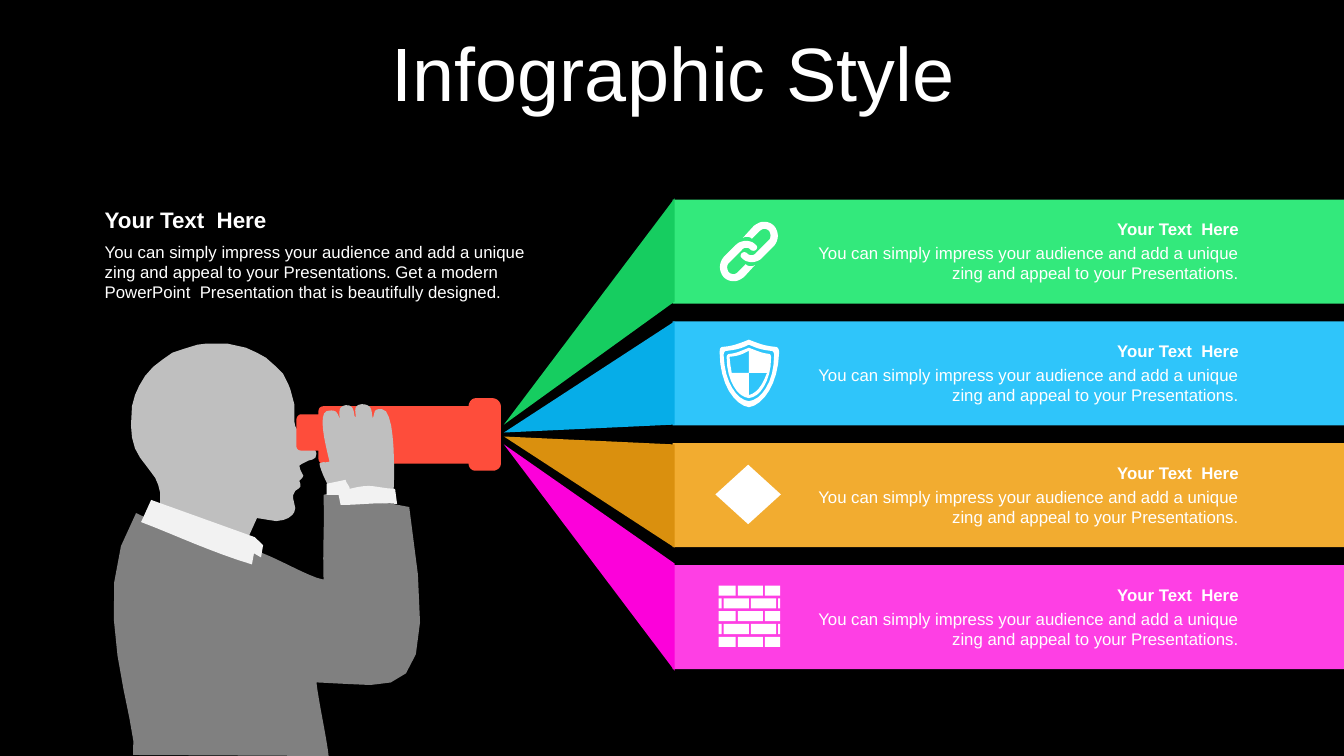
from pptx import Presentation
from pptx.dml.color import RGBColor
from pptx.enum.shapes import MSO_SHAPE
from pptx.enum.text import MSO_ANCHOR, PP_ALIGN
from pptx.util import Cm, Pt

COLORS = {
    "background": "000000", "text": "FFFFFF", "icon": "FFFFFF",
    "skin": "BFBFBF", "telescope": "FE4D3B", "suit": "808080", "shirt": "F2F2F2",
}
FONT = "Arial"
CURVE_STEPS = 8

presentation = Presentation()
presentation.slide_width = Cm(33.87)
presentation.slide_height = Cm(19.05)
slide = presentation.slides.add_slide(presentation.slide_layouts[5])
slide.background.fill.solid()
slide.background.fill.fore_color.rgb = RGBColor.from_string(COLORS["background"])


def add_outline(contours, color, unit=Cm(0.0254)):
    """Draw closed contours; a pair is a corner, six numbers are a Bezier curve."""
    builder = None
    for start, *segments in contours:
        points = [start]
        for segment in segments:
            if len(segment) == 2:
                points.append(segment)
                continue
            x0, y0 = points[-1]
            x1, y1, x2, y2, x3, y3 = segment
            for step in range(1, CURVE_STEPS + 1):
                t = step / CURVE_STEPS
                a, b, c, d = (1 - t) ** 3, 3 * t * (1 - t) ** 2, 3 * t * t * (1 - t), t ** 3
                points.append((a * x0 + b * x1 + c * x2 + d * x3,
                               a * y0 + b * y1 + c * y2 + d * y3))
        # Ten steps per unit keep the curves smooth
        points = [(x * 10, y * 10) for x, y in points]
        if builder is None:
            builder = slide.shapes.build_freeform(*points[0], scale=unit / 10)
        else:
            builder.move_to(*points[0])
        builder.add_line_segments(points[1:], close=True)
    shape = builder.convert_to_shape()
    shape.shadow.inherit = False
    shape.fill.solid()
    shape.fill.fore_color.rgb = RGBColor.from_string(color)
    shape.line.fill.background()


def add_text(left, top, width, height, text, size, bold=False, align=PP_ALIGN.LEFT):
    box = slide.shapes.add_textbox(Cm(left), Cm(top), Cm(width), Cm(height))
    box.text_frame.word_wrap = True
    paragraph = box.text_frame.paragraphs[0]
    paragraph.text = text
    paragraph.alignment = align
    paragraph.font.name = FONT
    paragraph.font.size = Pt(size)
    paragraph.font.bold = bold
    paragraph.font.color.rgb = RGBColor.from_string(COLORS["text"])


# Title
title = slide.shapes.title
title.left, title.top, title.width, title.height = Cm(0.89), Cm(0.94), Cm(32.16), Cm(2.01)
title.text_frame.text = "Infographic Style"
title.text_frame.vertical_anchor = MSO_ANCHOR.MIDDLE
paragraph = title.text_frame.paragraphs[0]
paragraph.alignment = PP_ALIGN.CENTER
paragraph.line_spacing = 0.9
paragraph.font.name = FONT
paragraph.font.size = Pt(54)
paragraph.font.color.rgb = RGBColor.from_string(COLORS["text"])

# Bands with the rays that lead to them: band colour, ray colour, ray tip in cm
bands = [
    ("33E97C", "16CD60", (12.73, 10.69)),
    ("2FC5FA", "06ADE8", (12.67, 10.87)),
    ("F2AC30", "DA900E", (12.67, 11)),
    ("FE3FE4", "FC01DA", (12.73, 11.2)),
]
band_left, band_width, band_height = 16.95, 16.92, 2.62
for index, (band_color, ray_color, tip) in enumerate(bands):
    top = 5.03 + index * 3.07
    band = slide.shapes.add_shape(MSO_SHAPE.RECTANGLE, Cm(band_left), Cm(top),
                                  Cm(band_width), Cm(band_height))
    band.shadow.inherit = False
    band.fill.solid()
    band.fill.fore_color.rgb = RGBColor.from_string(band_color)
    band.line.fill.background()
    ray = [(band_left, top + band_height), tip, (band_left, top)]
    add_outline([ray], ray_color, Cm(1))
    add_text(20.37, top + 0.97, 11.1, 1.27,
             "You can simply impress your audience and add a unique zing and appeal "
             "to your Presentations.", 12, align=PP_ALIGN.RIGHT)
    add_text(20.37, top + 0.36, 11.1, 0.76, "Your Text  Here", 12, True, PP_ALIGN.RIGHT)

# Introduction
add_text(2.39, 5.97, 11.46, 1.8,
         "You can simply impress your audience and add a unique zing and appeal to your "
         "Presentations. Get a modern PowerPoint  Presentation that is beautifully designed.", 12)
add_text(2.39, 5.08, 11.46, 0.94, "Your Text  Here", 16, True)

# Man with telescope, in hundredths of an inch
head = [
    (219, 341), (226, 341), (244, 345), (255, 350), (264, 355), (273, 363), (281, 371),
    (286, 381), (288, 386), (292, 401), (292, 418), (293, 423), (297, 430), (302, 435),
    (309, 443), (313, 447), (314, 450), (313, 454), (310, 456), (306, 457), (300, 460),
    (297, 462), (298, 466), (301, 472), (300, 474), (297, 477), (298, 480), (298, 483),
    (296, 485), (293, 487), (291, 491), (291, 495), (293, 504), (292, 508), (290, 511),
    (286, 514), (281, 516), (274, 517), (267, 516), (255, 514), (246, 534), (236, 531),
    (157, 506), (159, 499), (159, 489), (157, 481), (154, 474), (148, 466), (139, 454),
    (134, 445), (131, 434), (130, 422), (131, 403), (134, 392), (138, 383), (144, 373),
    (152, 364), (161, 357), (171, 350), (183, 346), (196, 342), (204, 341),
]
telescope = [
    (472, 395), (489, 395), (493, 395, 497, 399, 497, 403), (497, 460),
    (497, 464, 493, 467, 489, 467), (472, 467), (468, 467, 465, 464, 465, 460),
    (321, 460), (318, 460, 316, 458, 316, 455), (316, 447), (299, 447),
    (296, 447, 294, 445, 294, 442), (294, 417), (294, 414, 296, 411, 299, 411),
    (316, 411), (316, 408), (316, 405, 318, 403, 321, 403), (465, 403),
    (465, 399, 468, 395, 472, 395),
]
hand = [
    (345, 497), (343, 493, 344, 493, 342, 490), (337, 490, 339, 491, 331, 491),
    (328, 488, 317, 465, 317, 460), (323, 457, 320, 460, 327, 458),
    (322, 438, 316, 411, 324, 408), (332, 406, 335, 408, 337, 416),
    (337, 408, 335, 404, 343, 402), (354, 401, 350, 415, 353, 414),
    (353, 408, 350, 402, 359, 401), (371, 401, 368, 410, 370, 415),
    (372, 410, 370, 405, 379, 406), (391, 406, 391, 456, 391, 466),
    (391, 478, 391, 487, 389, 497), (374, 497, 368, 497, 345, 497),
]
suit = [
    (135, 509), (82, 591, 140, 724, 132, 749), (326, 750),
    (325, 736, 315, 691, 314, 677), (396, 679, 438, 709, 406, 503),
    (361, 494, 354, 498, 338, 499), (337, 493, 338, 494, 336, 488),
    (328, 488, 332, 488, 321, 491), (322, 519, 320, 547, 321, 575),
    (305, 572, 279, 555, 246, 543), (246, 557, 251, 565, 236, 552),
    (195, 542, 183, 531, 135, 509),
]
collar = [(140, 518), (150, 496), (253, 533), (261, 541), (259, 553), (252, 549),
          (250, 560), (210, 548, 177, 532, 140, 518)]
cuff = [(324, 491), (324, 480), (343, 476), (343, 479, 347, 482, 347, 485),
        (371, 479, 370, 484, 392, 485), (394, 500), (375, 498, 356, 501, 338, 501),
        (336, 491)]
for outline, part in [(head, "skin"), (telescope, "telescope"), (hand, "skin"),
                      (suit, "suit"), (collar, "shirt"), (cuff, "shirt")]:
    add_outline([outline], COLORS[part])

# Chain icon: the second link is the first one turned by half a circle
link = [
    (740, 239), (744, 239, 747, 240, 750, 243), (750, 243, 751, 244, 751, 244),
    (752, 248, 748, 250, 745, 248), (743, 245, 738, 245, 736, 248), (723, 261),
    (721, 263, 721, 267, 723, 270), (724, 271, 726, 272, 728, 272),
    (729, 272, 731, 271, 732, 270), (740, 262), (741, 264, 746, 265, 749, 263),
    (738, 275), (735, 277, 732, 279, 728, 279), (725, 279, 721, 278, 718, 275),
    (713, 269, 713, 261, 718, 255), (730, 243), (733, 240, 737, 239, 740, 239),
]
turned_link = [tuple((499 if place % 2 else 1486) - value for place, value in enumerate(segment))
               for segment in link]
add_outline([link, turned_link], COLORS["icon"])

# Shield icon: three nested shields and two quarters
shield = [
    [(743, 337), (753, 341, 758, 343, 768, 344), (771, 344, 773, 345, 773, 350),
     (772, 381, 757, 402, 743, 404), (729, 402, 714, 381, 714, 350),
     (714, 345, 715, 344, 719, 344), (728, 343, 733, 341, 743, 337)],
    [(743, 342), (752, 346, 756, 347, 764, 348), (767, 348, 768, 349, 768, 353),
     (768, 379, 755, 397, 743, 398), (731, 397, 719, 379, 718, 353),
     (718, 349, 719, 348, 722, 348), (730, 347, 735, 346, 743, 342)],
    [(743, 345), (751, 348, 755, 350, 762, 351), (764, 351, 765, 352, 765, 355),
     (765, 378, 754, 394, 743, 395), (732, 394, 721, 378, 721, 355),
     (721, 352, 722, 351, 725, 351), (732, 350, 735, 348, 743, 345)],
    [(743, 370), (743, 392), (754, 389, 758, 377, 761, 370)],
    [(743, 348), (737, 351, 734, 353, 724, 354), (724, 359, 725, 364, 726, 370), (743, 370)],
]
add_outline(shield, COLORS["icon"])

# Plain diamond icon
diamond = slide.shapes.add_shape(MSO_SHAPE.DIAMOND, Cm(18.03), Cm(11.71), Cm(1.65), Cm(1.5))
diamond.shadow.inherit = False
diamond.fill.solid()
diamond.fill.fore_color.rgb = RGBColor.from_string(COLORS["icon"])
diamond.line.fill.background()

# Wall icon: five courses of bricks, every other one shifted
courses = [[(713, 730), (732, 757), (759, 774)],
           [(713, 716), (718, 743), (745, 770), (772, 774)]]
bricks = []
for row in range(5):
    top = 581 + row * 12.7
    for left, right in courses[row % 2]:
        bricks.append([(left, top), (right, top), (right, top + 10), (left, top + 10)])
add_outline(bricks, COLORS["icon"])

presentation.save("out.pptx")
